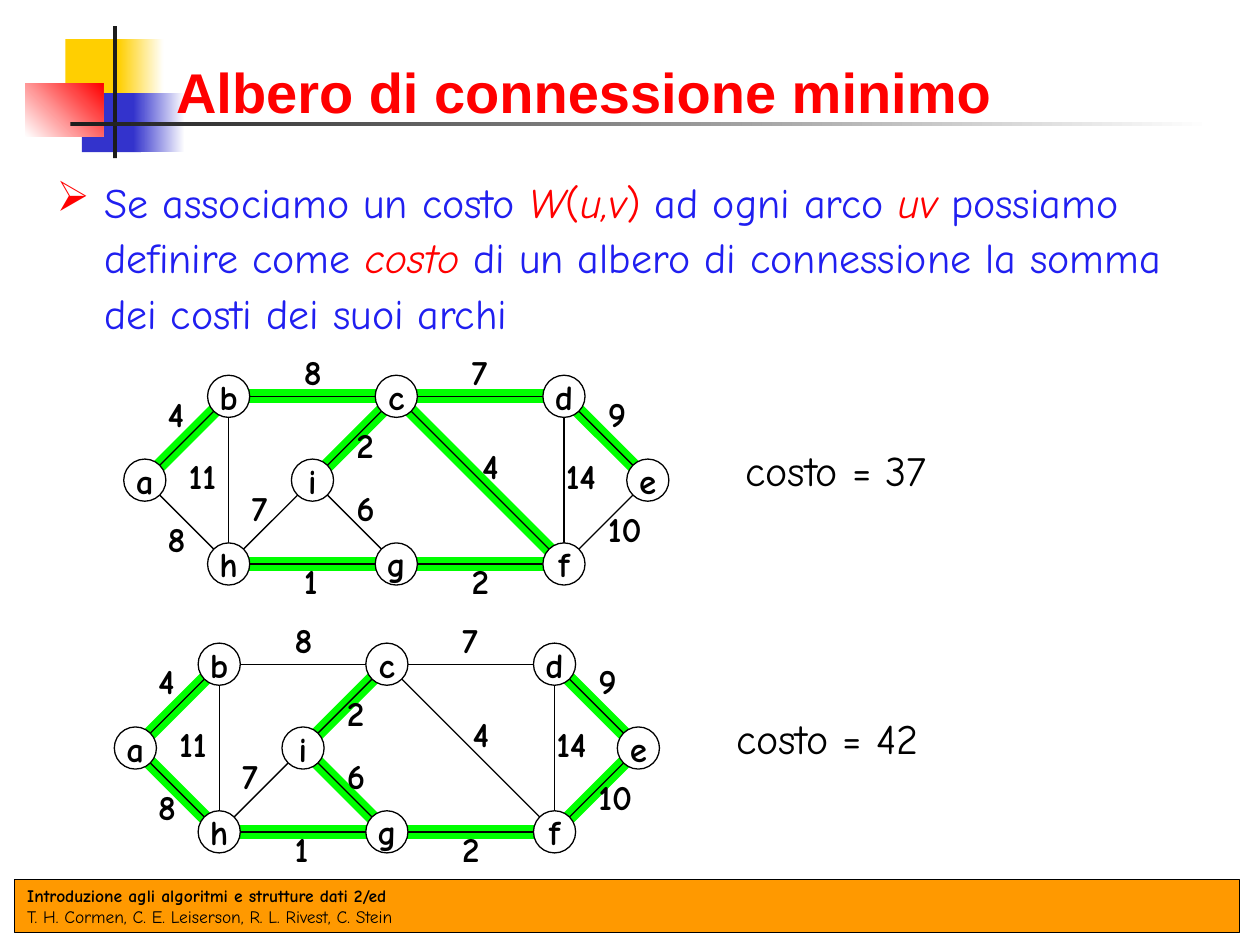
from lxml.etree import SubElement
from pptx import Presentation
from pptx.dml.color import RGBColor
from pptx.enum.shapes import MSO_CONNECTOR, MSO_SHAPE
from pptx.enum.text import MSO_ANCHOR, PP_ALIGN
from pptx.oxml.ns import qn
from pptx.util import Cm, Pt

INK = {
    "black": "000000", "white": "FFFFFF", "red": "FF0000", "blue": "201FF0",
    "green": "00FF00", "orange": "FF9900", "gold": "FFCF01",
    "navy": "3333CC", "dark": "1C1C1C",
}
FACE = "Comic Neue"

TITLE = "Albero di connessione minimo"
BODY = [
    ("Se associamo un costo ", "blue", False),
    ("W", "red", True),
    ("(", "red", False),
    ("u,v", "red", True),
    (")", "red", False),
    (" ad ogni arco ", "blue", False),
    ("uv ", "red", True),
    ("possiamo definire come ", "blue", False),
    ("costo", "red", True),
    (" di un albero di connessione la somma dei costi dei suoi archi", "blue", False),
]
FOOT = [
    ("Introduzione agli algoritmi e strutture dati 2/ed", True),
    ("T. H. Cormen, C. E. Leiserson, R. L. Rivest, C. Stein", False),
]
DECOR = [
    ((1.32, 0.79, 1.22, 1.19), "gold", None, 0),
    ((2.39, 0.79, 0.91, 1.19), "gold", "white", 0),
    ((1.65, 1.88, 1.19, 1.19), "navy", None, 0),
    ((2.69, 1.88, 1.04, 1.19), "navy", "white", 0),
    ((0.51, 1.68, 1.57, 1.07), "white", "red", 45),
    ((2.28, 0.53, 0.08, 2.66), "dark", None, 0),
    ((1.42, 2.46, 23.02, 0.08), "dark", "white", 0),
]

NODES = {
    "a": (0, 0), "e": (6, 0), "h": (1, 1), "g": (3, 1), "f": (5, 1),
    "d": (5, -1), "c": (3, -1), "b": (1, -1), "i": (2, 0),
}
EDGES = [
    ("ab", 4, (1, -9)), ("ef", 10, (43, 2)), ("df", 14, (39, -3)),
    ("fg", 2, (30, 7)), ("cf", 4, (31, -4)), ("cd", 7, (30, -13)),
    ("gi", 6, (19, 0)), ("ci", 2, (19, -6)), ("gh", 1, (14, 7)),
    ("hi", 7, (9, 0)), ("bc", 8, (14, -13)), ("bh", 11, (3, -3)),
    ("ah", 8, (1, 3)), ("de", 9, (43, -9)),
]
TREES = [
    ((2.92, 9.68), "ab bc cd de cf ci gh fg", "costo = 37"),
    ((2.73, 15.08), "ab ah gh gi ci fg ef de", "costo = 42"),
]
UNIT = 1.69
STEP = UNIT / 8
DIAM = 0.85


def tint(name):
    return RGBColor.from_string(INK[name])


def style(font, size, color="black", bold=False, face=FACE):
    font.name, font.size, font.bold = face, Pt(size), bold
    font.color.rgb = tint(color)


def block(kind, box, color, line=None):
    shape = slide.shapes.add_shape(kind, *map(Cm, box))
    shape.shadow.inherit = False
    shape.fill.solid()
    shape.fill.fore_color.rgb = tint(color)
    if line:
        shape.line.color.rgb = tint(line)
        shape.line.width = Pt(0.75)
    else:
        shape.line.fill.background()
    return shape


def label(box, text, size, wrap=True, **look):
    frame = slide.shapes.add_textbox(*map(Cm, box)).text_frame
    frame.word_wrap = wrap
    para = frame.paragraphs[0]
    para.text = text
    style(para.font, size, **look)
    return frame


def join(start, end, color, width):
    line = slide.shapes.add_connector(
        MSO_CONNECTOR.STRAIGHT, *map(Cm, (*start, *end)))
    line.line.color.rgb = tint(color)
    line.line.width = Pt(width)
    SubElement(line._element.spPr, qn("a:effectLst"))


def graph(left, mid, tree, cost):
    spots = {n: (left + x * UNIT, mid + y * UNIT) for n, (x, y) in NODES.items()}
    for u, v in tree.split():
        join(spots[u], spots[v], "green", 8)
    for (u, v), *_ in EDGES:
        join(spots[u], spots[v], "black", 0.75)
    for name, (x, y) in spots.items():
        box = (x - DIAM / 2, y - DIAM / 2, DIAM, DIAM)
        frame = block(MSO_SHAPE.OVAL, box, "white", "black").text_frame
        frame.word_wrap = False
        para = frame.paragraphs[0]
        para.text = name
        para.alignment = PP_ALIGN.CENTER
        style(para.font, 20, bold=True)
    for _, cost_of, (x, y) in EDGES:
        wide = 0.94 if cost_of < 10 else 1.4
        box = (left + x * STEP, mid + y * STEP, wide, 1.12)
        label(box, str(cost_of), 20, wrap=False, bold=True)
    label((left + 11.86, mid - 0.85, 5.92, 1.27), cost, 24)


deck = Presentation()
deck.slide_width, deck.slide_height = Cm(25.4), Cm(19.05)
slide = deck.slides.add_slide(deck.slide_layouts[6])

bar = block(MSO_SHAPE.RECTANGLE, (0.3, 17.73, 24.69, 1.07), "orange", "black")
bar.text_frame.word_wrap = True
para = bar.text_frame.paragraphs[0]
para.alignment = PP_ALIGN.LEFT
style(para.font, 10)
for row, (text, bold) in enumerate(FOOT):
    if row:
        para.add_line_break()
    run = para.add_run()
    run.text, run.font.bold = text, bold

for box, color, fade, angle in DECOR:
    shape = block(MSO_SHAPE.RECTANGLE, box, color)
    if fade:
        shape.fill.gradient()
        shape.fill.gradient_angle = angle
        for stop, name in zip(shape.fill.gradient_stops, (color, fade)):
            stop.color.rgb = tint(name)

for (left, mid), tree, cost in TREES:
    graph(left, mid, tree, cost)

head = label((3.3, 0.74, 20.93, 1.9), TITLE, 32, color="red", bold=True, face="Arial")
head.vertical_anchor = MSO_ANCHOR.BOTTOM

frame = slide.shapes.add_textbox(*map(Cm, (0.89, 3.33, 23.6, 3.81))).text_frame
frame.word_wrap = True
para = frame.paragraphs[0]
props = para._p.get_or_add_pPr()
props.set("marL", str(Cm(0.96)))
props.set("indent", str(-Cm(0.96)))
SubElement(SubElement(props, qn("a:buClr")), qn("a:srgbClr"), val=INK["red"])
SubElement(props, qn("a:buChar"), char="➢")
para.line_spacing = 1.1
para.font.name, para.font.size = FACE, Pt(24)
for text, color, slant in BODY:
    run = para.add_run()
    run.text, run.font.italic = text, slant
    run.font.color.rgb = tint(color)

deck.save("out.pptx")
